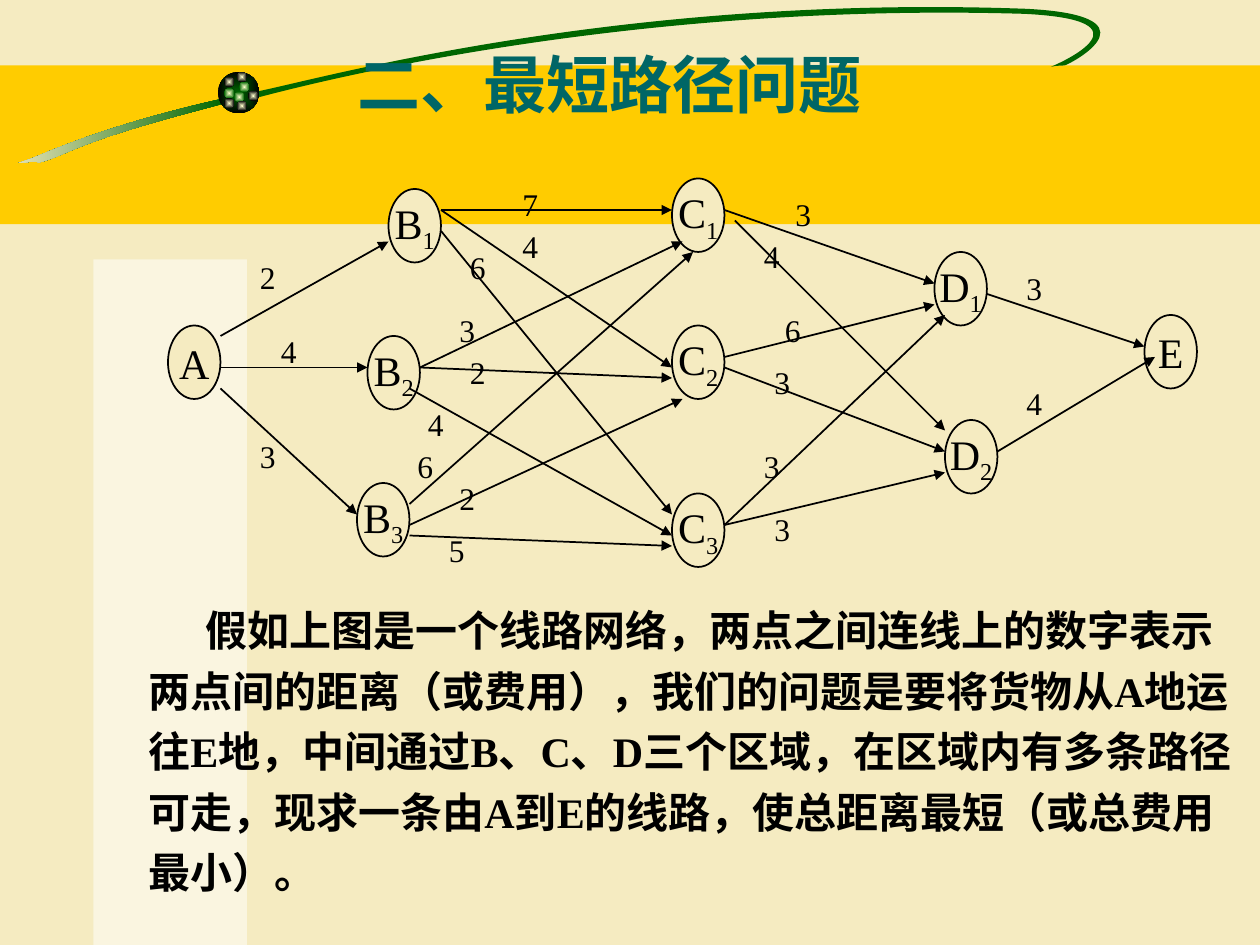
from pptx import Presentation
from pptx import util as u
from pptx.dml.color import RGBColor
from pptx.enum import shapes, text
from pptx.oxml import parse_xml
from pptx.oxml.ns import nsdecls, qn
from lxml import etree

CREAM = RGBColor(0xF5, 0xEB, 0xC1)
PALE = RGBColor(0xFF, 0xFF, 0xCC)
WHITE = RGBColor(0xFF, 0xFF, 0xFF)
GOLD = RGBColor(0xFF, 0xCC, 0x00)
GREEN = RGBColor(0x00, 0x66, 0x00)
TEAL = RGBColor(0x00, 0x66, 0x66)
BLACK = RGBColor(0x00, 0x00, 0x00)
FONT = "Times New Roman"

TITLE = "二、最短路径问题"
BODY = ("假如上图是一个线路网络，两点之间连线上的数字表示两点间的距离（或费用），"
        "我们的问题是要将货物从A地运往E地，中间通过B、C、D三个区域，"
        "在区域内有多条路径可走，现求一条由A到E的线路，使总距离最短（或总费用最小）。")

# The network lies on a grid of twelfths of an inch
NODE_SIZE = (5, 7)
NODES = [("A", 16, 31), ("B1", 37, 18), ("B2", 35, 32), ("B3", 34, 46),
         ("C1", 64, 17), ("C2", 64, 31), ("C3", 64, 47),
         ("D1", 89, 24), ("D2", 90, 40), ("E", 109, 30)]
# start, end, distance, left top of the distance label
EDGES = [
    ((21, 35), (35, 35), 4, (24, 31)),
    ((21, 37), (34, 49), 3, (22, 41)),
    ((21, 32), (37, 23), 2, (22, 24)),
    ((42, 20), (64, 20), 7, (47, 17)),
    ((42, 20), (64, 35), 4, (47, 21)),
    ((42, 22), (64, 49), 6, (42, 23)),
    ((40, 35), (65, 23), 3, (41, 29)),
    ((40, 35), (64, 36), 2, (42, 33)),
    ((39, 37), (64, 51), 4, (38, 38)),
    ((39, 48), (66, 24), 6, (37, 42)),
    ((39, 50), (65, 38), 2, (41, 45)),
    ((39, 51), (64, 52), 5, (40, 50)),
    ((69, 20), (89, 27), 3, (73, 18)),
    ((70, 21), (90, 41), 4, (70, 22)),
    ((69, 34), (89, 29), 6, (72, 29)),
    ((69, 35), (90, 43), 3, (71, 34)),
    ((69, 50), (90, 30), 3, (70, 42)),
    ((69, 50), (90, 45), 3, (71, 48)),
    ((94, 28), (109, 33), 3, (95, 25)),
    ((95, 43), (110, 34), 4, (95, 36)),
]

# Swoosh outlines in hundredths of an inch: a start point, then Bezier
# segments of three points each
TAIL = [(178, 78),
        (91, 98), (49, 116), (25, 126),
        (1, 134), (26, 126), (31, 129),
        (57, 122), (57, 113), (179, 82)]
LOOP = [(202, 73),
        (246, 65), (486, -5), (814, 7),
        (917, 12), (857, 47), (845, 52),
        (845, 52), (838, 52), (834, 53),
        (844, 49), (916, 16), (813, 11),
        (548, 3), (320, 47), (206, 77)]
BALL_DOTS = [(1.9, 0.65, GREEN), (1.78, 0.61, BLACK), (1.78, 0.7, GREEN),
             (1.86, 0.73, GREEN), (1.97, 0.72, BLACK), (1.88, 0.8, BLACK),
             (1.78, 0.78, BLACK), (1.88, 0.57, BLACK)]


def grid(*values):
    return [u.Inches(value / 12) for value in values]


def set_all(target, values):
    for name, value in values.items():
        setattr(target, name, value)


def add_run(paragraph, content, size, color=BLACK, bold=False):
    run = paragraph.add_run()
    run.text = content
    set_all(run.font, {"name": FONT, "size": u.Pt(size), "bold": bold})
    run.font.color.rgb = color
    return run


def paint(shape, fill, line=None):
    shape.shadow.inherit = False
    if fill is not None:
        shape.fill.solid()
        shape.fill.fore_color.rgb = fill
    if line is None:
        shape.line.fill.background()
    else:
        shape.line.color.rgb = line
        shape.line.width = u.Pt(1)


def paint_gradient(shape, first, last, centred=True):
    paint(shape, None)
    shape.fill.gradient()
    shape.fill.gradient_angle = 180
    for stop, color, position in zip(shape.fill.gradient_stops, (first, last), (0, 1)):
        stop.color.rgb = color
        stop.position = position
    if centred:
        linear = shape.element.spPr.find(".//" + qn("a:lin"))
        linear.getparent().replace(linear, parse_xml(
            f'<a:path {nsdecls("a")} path="rect">'
            '<a:fillToRect l="50000" t="50000" r="50000" b="50000"/></a:path>'))


def add_preset(group, kind, *box):
    return group.shapes.add_shape(kind, *[u.Inches(value) for value in box])


def add_curve(group, points):
    builder = group.shapes.build_freeform(*points[0], scale=u.Inches(0.01))
    builder.add_line_segments(points[1:], close=True)
    shape = builder.convert_to_shape()
    # Turn each three straight steps into one Bezier segment
    steps = list(shape.element.spPr.iter(qn("a:lnTo")))
    for i in range(0, len(points) - 1, 3):
        curve = etree.Element(qn("a:cubicBezTo"))
        steps[i].addprevious(curve)
        for step in steps[i:i + 3]:
            curve.append(step[0])
            step.getparent().remove(step)
    return shape


def add_decoration(slide):
    group = slide.shapes.add_group_shape()
    rectangle, oval = shapes.MSO_SHAPE.RECTANGLE, shapes.MSO_SHAPE.OVAL
    paint(add_preset(group, rectangle, 0, 0.52, 10, 1.26), GOLD)
    paint_gradient(add_curve(group, TAIL), GREEN, CREAM, centred=False)
    paint(add_curve(group, LOOP), GREEN)
    # Ball with light spots
    paint_gradient(add_preset(group, oval, 1.73, 0.57, 0.33, 0.33), GREEN, BLACK)
    for left, top, edge in BALL_DOTS:
        paint_gradient(add_preset(group, oval, left, top, 0.08, 0.08), PALE, edge)
    # Half-transparent side panel
    panel = add_preset(group, rectangle, 0.74, 2.06, 1.22, 5.44)
    paint(panel, WHITE)
    color = panel.element.spPr.find(qn("a:solidFill"))[0]
    etree.SubElement(color, qn("a:alpha"), val="50000")


def add_title(slide):
    title = slide.shapes.title
    title.element.getparent().append(title.element)  # in front of the decoration
    set_all(title, {"left": u.Inches(0.59), "top": u.Inches(0.33),
                    "width": u.Inches(8.5), "height": u.Inches(0.67)})
    set_all(title.text_frame, {"vertical_anchor": text.MSO_ANCHOR.MIDDLE,
                               "auto_size": text.MSO_AUTO_SIZE.NONE})
    paragraph = title.text_frame.paragraphs[0]
    paragraph.alignment = text.PP_ALIGN.CENTER
    add_run(paragraph, TITLE, 36, TEAL, bold=True)


def add_body(slide):
    box = slide.shapes.add_textbox(*[u.Inches(value) for value in (1.08, 4.67, 8.92, 2.5)])
    box.text_frame.word_wrap = True
    paragraph = box.text_frame.paragraphs[0]
    set_all(paragraph, {"line_spacing": 1.2, "space_before": u.Pt(15)})
    add_run(paragraph, BODY, 24, bold=True)
    paragraph._p.get_or_add_pPr().set("indent", str(u.Inches(0.45)))


def add_node(group, name, left, top):
    node = group.shapes.add_shape(shapes.MSO_SHAPE.OVAL, *grid(left, top, *NODE_SIZE))
    paint(node, CREAM, BLACK)
    set_all(node.text_frame, {"word_wrap": False, "vertical_anchor": text.MSO_ANCHOR.MIDDLE})
    paragraph = node.text_frame.paragraphs[0]
    paragraph.alignment = text.PP_ALIGN.CENTER
    add_run(paragraph, name[0], 24)
    if name[1:]:
        subscript = add_run(paragraph, name[1:], 24)
        subscript._r.get_or_add_rPr().set("baseline", "-25000")


def add_arrow(group, start, end):
    arrow = group.shapes.add_connector(shapes.MSO_CONNECTOR.STRAIGHT, *grid(*start, *end))
    arrow.line.color.rgb = BLACK
    arrow.line.width = u.Pt(1)
    etree.SubElement(arrow.line._get_or_add_ln(), qn("a:tailEnd"), type="triangle")
    etree.SubElement(arrow.element.spPr, qn("a:effectLst"))


def add_distance(group, distance, left, top):
    box = group.shapes.add_textbox(*grid(left, top, 7), u.Inches(0.4))
    box.text_frame.word_wrap = True
    paragraph = box.text_frame.paragraphs[0]
    set_all(paragraph, {"alignment": text.PP_ALIGN.CENTER, "space_before": u.Pt(11.2)})
    add_run(paragraph, str(distance), 18)


def main():
    presentation = Presentation()
    set_all(presentation, {"slide_width": u.Inches(10), "slide_height": u.Inches(7.5)})
    slide = presentation.slides.add_slide(presentation.slide_layouts[5])
    slide.background.fill.solid()
    slide.background.fill.fore_color.rgb = CREAM
    add_decoration(slide)
    add_title(slide)
    add_body(slide)
    # Route network: nodes, arrows, then distances
    network = slide.shapes.add_group_shape()
    for node in NODES:
        add_node(network, *node)
    for start, end, _, _ in EDGES:
        add_arrow(network, start, end)
    for _, _, distance, position in EDGES:
        add_distance(network, distance, *position)
    presentation.save("out.pptx")


if __name__ == "__main__":
    main()
